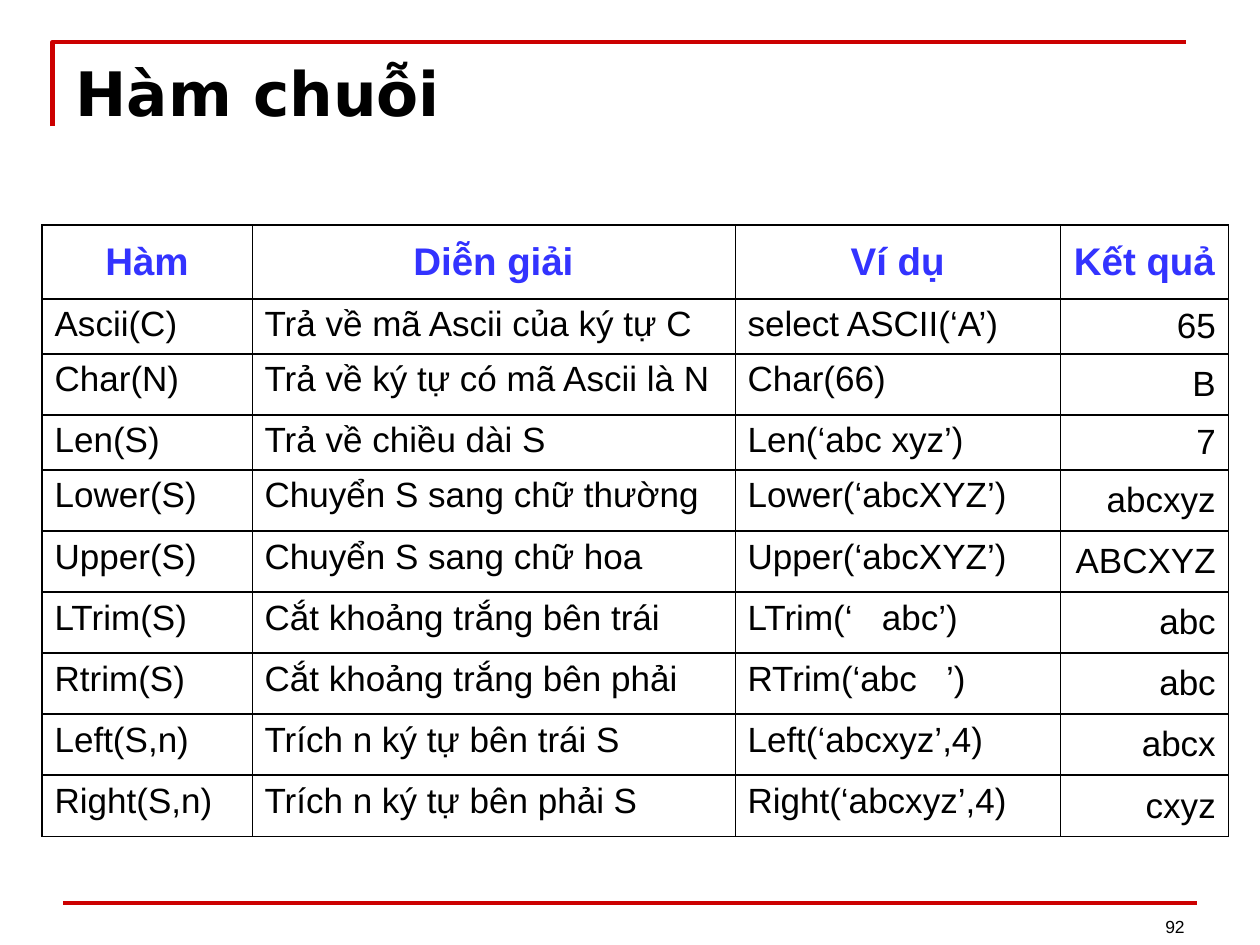
from pptx import Presentation
from pptx.dml.color import RGBColor
from pptx.enum import shapes, text
from pptx.oxml import parse_xml
from pptx.oxml import ns
from pptx.util import Pt

# Content
TITLE = "Hàm chuỗi"
PAGE = "92"
HEADER = ("Hàm", "Diễn giải", "Ví dụ", "Kết quả")
ROWS = [
    ("Ascii(C)", "Trả về mã Ascii của ký tự C", "select ASCII(‘A’)", "65"),
    ("Char(N)", "Trả về ký tự có mã Ascii là N", "Char(66)", "B"),
    ("Len(S)", "Trả về chiều dài S", "Len(‘abc xyz’)", "7"),
    ("Lower(S)", "Chuyển S sang chữ thường", "Lower(‘abcXYZ’)", "abcxyz"),
    ("Upper(S)", "Chuyển S sang chữ hoa", "Upper(‘abcXYZ’)", "ABCXYZ"),
    ("LTrim(S)", "Cắt khoảng trắng bên trái", "LTrim(‘   abc’)", "abc"),
    ("Rtrim(S)", "Cắt khoảng trắng bên phải", "RTrim(‘abc   ’)", "abc"),
    ("Left(S,n)", "Trích n ký tự bên trái S", "Left(‘abcxyz’,4)", "abcx"),
    ("Right(S,n)", "Trích n ký tự bên phải S", "Right(‘abcxyz’,4)", "cxyz"),
]

# Layout and colours
COL_WIDTHS = (120, 276, 186, 96)
HEADER_H, SHORT_H, ROW_H = 42, 31.5, 34.9
SHORT_ROWS = (1, 3)
THICK, THIN = 1.08, 0.45
RED, BLUE, BLACK = "CC0000", "3333FF", "000000"
AL, ANCHOR = text.PP_ALIGN, text.MSO_ANCHOR
BODY_ALIGN = (AL.JUSTIFY, AL.LEFT, AL.JUSTIFY, AL.RIGHT)


def color(hex_string):
    return RGBColor.from_string(hex_string)


def write(tf, content, size=20, font="Arial", fill=BLACK, bold=False, align=AL.LEFT):
    p = tf.paragraphs[0]
    p.alignment = align
    r = p.add_run()
    r.text = content
    r.font.size, r.font.name, r.font.bold = Pt(size), font, bold
    r.font.color.rgb = color(fill)


def set_line(shape, width):
    shape.line.color.rgb = color(RED)
    shape.line.width = Pt(width)


def set_borders(cell, **widths):
    tcPr = cell._tc.get_or_add_tcPr()
    for i, (side, width) in enumerate(widths.items()):
        tcPr.insert(i, parse_xml(
            f'<a:{side} {ns.nsdecls("a")} w="{Pt(width)}"><a:solidFill>'
            f'<a:srgbClr val="{BLACK}"/></a:solidFill></a:{side}>'))


prs = Presentation()
prs.slide_width, prs.slide_height = Pt(720), Pt(540)
s = prs.slides.add_slide(prs.slide_layouts[5])

# Corner rule and footer rule
fb = s.shapes.build_freeform(Pt(30), Pt(72))
fb.add_line_segments([(Pt(30), Pt(24)), (Pt(678), Pt(24))], close=False)
corner = fb.convert_to_shape()
corner.shadow.inherit = False
corner.fill.background()
set_line(corner, 2.5)

footer = s.shapes.add_connector(shapes.MSO_CONNECTOR.STRAIGHT,
                                Pt(36), Pt(516), Pt(684), Pt(516))
set_line(footer, 2)
footer._element.spPr.append(parse_xml(f'<a:effectLst {ns.nsdecls("a")}/>'))

# Page number
sp = s.shapes.add_textbox(Pt(516), Pt(503), Pt(168), Pt(36))
tf = sp.text_frame
tf.word_wrap = True
tf.vertical_anchor = ANCHOR.BOTTOM
write(tf, PAGE, size=10, align=AL.RIGHT)

# Title
title = s.shapes.title
title.left, title.top, title.width, title.height = Pt(36), Pt(28), Pt(648), Pt(62)
tf = title.text_frame
tf.auto_size = text.MSO_AUTO_SIZE.NONE
tf.vertical_anchor = ANCHOR.TOP
write(tf, TITLE, size=35, font="DejaVu Sans", bold=True)

# Function table
heights = [HEADER_H] + [SHORT_H if i in SHORT_ROWS else ROW_H
                        for i in range(1, len(ROWS) + 1)]
# The first and third body rows are the short ones
frame = s.shapes.add_table(len(heights), len(COL_WIDTHS), Pt(24), Pt(128.7),
                           Pt(sum(COL_WIDTHS)), Pt(sum(heights)))
table = frame.table
table.first_row = table.horz_banding = False
for col, width in zip(table.columns, COL_WIDTHS):
    col.width = Pt(width)
for row, height in zip(table.rows, heights):
    row.height = Pt(height)

last = len(COL_WIDTHS) - 1
for i, values in enumerate([HEADER] + ROWS):
    for j, value in enumerate(values):
        cell = table.cell(i, j)
        cell.fill.background()
        set_borders(cell, lnL=THIN if j else THICK, lnR=THICK if j == last else THIN,
                    lnT=THICK, lnB=THICK)
        centred = i == 0 or j == last
        cell.vertical_anchor = ANCHOR.MIDDLE if centred else ANCHOR.TOP
        if i == 0:
            write(cell.text_frame, value, size=22, fill=BLUE, bold=True, align=AL.CENTER)
        else:
            write(cell.text_frame, value, align=BODY_ALIGN[j])

prs.save("out.pptx")
